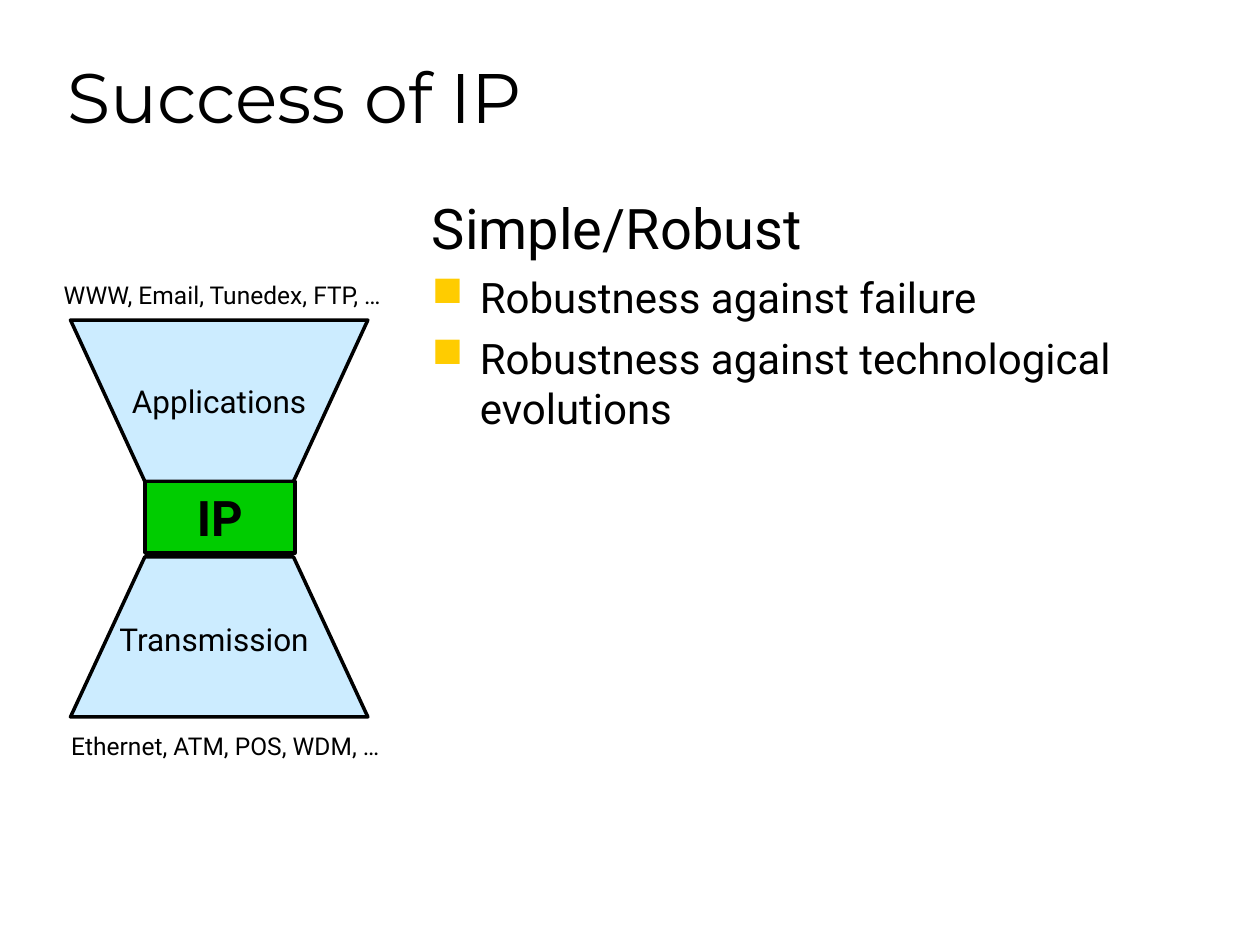
from lxml import etree
from pptx import Presentation
from pptx.dml.color import RGBColor
from pptx.enum.shapes import MSO_SHAPE
from pptx.enum.text import MSO_ANCHOR, PP_ALIGN
from pptx.oxml.ns import qn
from pptx.util import Inches, Pt

LEFT, CENTER = PP_ALIGN.LEFT, PP_ALIGN.CENTER
TOP, MIDDLE, BOTTOM = MSO_ANCHOR.TOP, MSO_ANCHOR.MIDDLE, MSO_ANCHOR.BOTTOM
RECTANGLE = MSO_SHAPE.RECTANGLE
COLUMNS, ROWS = 100, 75


def color(value):
    return RGBColor.from_string(value)


class Deck:
    heading_font, body_font = "Montserrat", "Roboto"
    ink, sky, green, gold = "000000", "CCECFF", "00CC00", "FFCC00"

    def __init__(self):
        self.presentation = Presentation()
        self.presentation.slide_width = Inches(10)
        self.presentation.slide_height = Inches(7.5)
        blank = self.presentation.slide_layouts[6]
        self.slide = self.presentation.slides.add_slide(blank)

    def x(self, columns):
        return round(self.presentation.slide_width * columns / COLUMNS)

    def y(self, rows):
        return round(self.presentation.slide_height * rows / ROWS)

    def box(self, left, top, width, height):
        return self.x(left), self.y(top), self.x(width), self.y(height)

    def style(self, paragraph, size, before=0, align=LEFT, font=None, bold=False):
        paragraph.alignment = align
        paragraph.space_before = Pt(before)
        for run in paragraph.runs:
            run.font.name = font or self.body_font
            run.font.size = Pt(size)
            run.font.bold = bold
            run.font.color.rgb = color(self.ink)

    def caption(self, shape, wording, size, wrap=False, anchor=TOP, **look):
        frame = shape.text_frame
        frame.text = wording
        frame.word_wrap = wrap
        frame.vertical_anchor = anchor
        self.style(frame.paragraphs[0], size, **look)

    def label(self, area, wording, size, **look):
        shape = self.slide.shapes.add_textbox(*self.box(*area))
        self.caption(shape, wording, size, **look)
        return shape

    def paint(self, shape, fill):
        shape.shadow.inherit = False
        shape.fill.solid()
        shape.fill.fore_color.rgb = color(fill)
        shape.line.color.rgb = color(self.ink)
        shape.line.width = Pt(2)

    def funnel(self, wide_row, neck_row):
        corners = [(29.2, wide_row), (23.3, neck_row), (11.5, neck_row)]
        outline = self.slide.shapes.build_freeform(self.x(5.6), self.y(wide_row))
        outline.add_line_segments([(self.x(c), self.y(r)) for c, r in corners])
        shape = outline.convert_to_shape()
        self.paint(shape, self.sky)
        return shape

    def block(self, area, wording, size, **look):
        shape = self.slide.shapes.add_shape(RECTANGLE, *self.box(*area))
        self.paint(shape, self.green)
        self.caption(shape, wording, size, **look)

    def bullet(self, paragraph):
        properties = paragraph._p.get_or_add_pPr()
        properties.set("marL", str(Inches(0.38)))
        properties.set("indent", str(-Inches(0.38)))
        tint = etree.SubElement(properties, qn("a:buClr"))
        etree.SubElement(tint, qn("a:srgbClr"), val=self.gold)
        etree.SubElement(properties, qn("a:buChar"), char="■")

    def points(self, area, heading, items):
        shape = self.label(area, heading, 32, wrap=True, before=8)
        for item in items:
            paragraph = shape.text_frame.add_paragraph()
            paragraph.text = item
            self.style(paragraph, 24, before=6)
            self.bullet(paragraph)


def main():
    deck = Deck()
    deck.label((4.4, 2.5, 85, 8.9), "Success of IP", 40, wrap=True,
               anchor=BOTTOM, font=deck.heading_font)
    applications = deck.funnel(25.4, 38.2)
    deck.caption(applications, "Applications", 18, anchor=MIDDLE, before=4.5, align=CENTER)
    deck.funnel(56.9, 44.2)
    deck.block((11.5, 38.2, 11.9, 5.7), "IP", 28, wrap=True,
               before=7, align=CENTER, bold=True)
    deck.label((8.5, 48.7, 17.6, 4), "Transmission", 18, before=4.5)
    deck.points((33.3, 14.9, 62.5, 56.4), "Simple/Robust", [
        "Robustness against failure",
        "Robustness against technological evolutions",
    ])
    deck.label((3.3, 21.7, 28.7, 3.4), "WWW, Email, Tunedex, FTP, …", 14,
               before=3.5, align=CENTER)
    deck.label((3.7, 57.5, 28.4, 3.4), "Ethernet, ATM, POS, WDM, …", 14,
               before=3.5, align=CENTER)
    deck.presentation.save("out.pptx")


if __name__ == "__main__":
    main()
